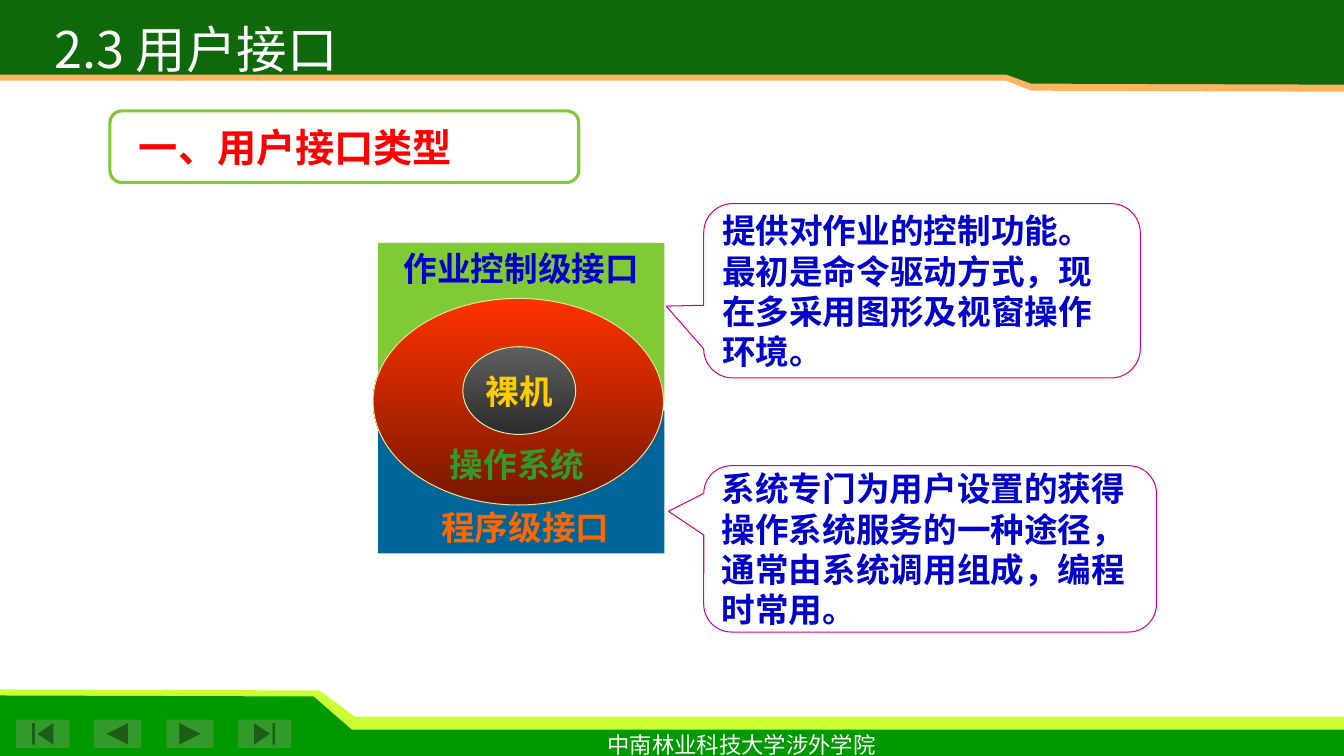
"""Build the slide on the types of user interface of an operating system."""
from pptx import Presentation
from pptx.dml.color import RGBColor as Color
from pptx.enum.shapes import MSO_SHAPE as Shape
from pptx.enum.text import MSO_ANCHOR as Anchor, MSO_AUTO_SIZE as AutoSize, PP_ALIGN as Align
from pptx.oxml.ns import qn
from pptx.util import Inches, Pt
from lxml.etree import SubElement

WIDTH, HEIGHT = 13.33, 7.5
WHITE, RED, BLUE = Color(255, 255, 255), Color(255, 0, 0), Color(0, 0, 0xCC)
LIME, GREEN, DARK_GREEN = Color(0xCC, 0xFF, 0x33), Color(0, 0x99, 0), Color(0x0F, 0x69, 0x0B)
PEACH, BUTTON_GREEN = Color(0xFB, 0xB5, 0x61), Color(0x32, 0x9A, 0x2A)
LEAF, TEAL = Color(0x80, 0xCB, 0x35), Color(0, 0x66, 0x99)
ORANGE, GOLD = Color(0xFF, 0x66, 0), Color(0xFF, 0xCC, 0)
CREAM, MAGENTA = Color(0xDD, 0xE8, 0x9A), Color(0xD6, 0, 0x93)
RED_FADE = (Color(0xFF, 0x33, 0), Color(0x76, 0x18, 0))
GREY_FADE = (Color(0x5F, 0x5F, 0x5F), Color(0x2C, 0x2C, 0x2C))
SERIF, SANS, CHINESE = "Times New Roman", "Arial", "Noto Sans CJK SC"

TITLE = "2.3 用户接口"
HEADING = "一、用户接口类型"
SCHOOL = "中南林业科技大学涉外学院"
JOB_LEVEL, PROGRAM_LEVEL = "作业控制级接口", "程序级接口"
SYSTEM, MACHINE = "操作系统", "裸机"
CALLOUTS = [
    ("提供对作业的控制功能。最初是命令驱动方式，现在多采用图形及视窗操作环境。",
     (6.98, 2.02, 4.33, 1.73), (-0.586, 0.088, 0.167)),
    ("系统专门为用户设置的获得操作系统服务的一种途径，通常由系统调用组成，编程时常用。",
     (6.98, 4.62, 4.49, 1.65), (-0.578, -0.226, 0.167)),
]
BUTTONS = [
    (Shape.ACTION_BUTTON_BEGINNING, 0.16, 0.53),
    (Shape.ACTION_BUTTON_BACK_OR_PREVIOUS, 0.93, 0.47),
    (Shape.ACTION_BUTTON_FORWARD_OR_NEXT, 1.65, 0.47),
    (Shape.ACTION_BUTTON_END, 2.36, 0.53),
]
HEADER_BANDS = [(PEACH, 0.8, 0.9), (DARK_GREEN, 0.74, 0.83)]
FOOTER_BANDS = [(LIME, 6.84, 3.17, 3.52, 7.11), (GREEN, 6.9, 3.11, 3.49, 7.24)]


def add_band(slide, color, points):
    corners = [(Inches(x), Inches(y)) for x, y in points]
    builder = slide.shapes.build_freeform(*corners[0])
    builder.add_line_segments(corners[1:])
    band = builder.convert_to_shape()
    band.shadow.inherit = False
    band.fill.solid()
    band.fill.fore_color.rgb = color
    band.line.fill.background()


def add_shape(slide, kind, place, fill=None, line=None, weight=0.75, adjust=()):
    shape = slide.shapes.add_shape(kind, *map(Inches, place))
    shape.shadow.inherit = False
    for index, value in enumerate(adjust):
        shape.adjustments[index] = value
    if fill is None:
        shape.fill.background()
    elif isinstance(fill[0], Color):
        shape.fill.gradient()
        shape.fill.gradient_angle = 270
        for stop, position, color in zip(shape.fill.gradient_stops, (0, 1), fill):
            stop.position = position
            stop.color.rgb = color
    else:
        shape.fill.solid()
        shape.fill.fore_color.rgb = fill
    if line is None:
        shape.line.fill.background()
    else:
        shape.line.color.rgb = line
        shape.line.width = Pt(weight)
    return shape


def write(box, text, color, size=24, font=SERIF, bold=True,
          align=Align.CENTER, anchor=Anchor.TOP, wrap=True):
    frame = box.text_frame
    frame.text = text
    frame.auto_size = AutoSize.NONE
    frame.word_wrap = wrap
    frame.vertical_anchor = anchor
    para = frame.paragraphs[0]
    para.alignment = align
    para.line_spacing = Pt(1.2 * size)
    span = para.runs[0]
    span.font.name = font
    span.font.size = Pt(size)
    span.font.bold = bold
    span.font.color.rgb = color
    SubElement(span.font._element, qn("a:ea"), typeface=CHINESE)


def add_text(slide, place, text, color, **style):
    write(slide.shapes.add_textbox(*map(Inches, place)), text, color, **style)


def draw_template(slide):
    for color, top, left_knee, right_knee, step in FOOTER_BANDS:
        add_band(slide, color, [(0, HEIGHT), (WIDTH, HEIGHT), (WIDTH, step),
                                (right_knee, step), (left_knee, top + 0.01), (0, top)])
    for kind, left, width in BUTTONS:
        add_shape(slide, kind, (left, 7.14, width, 0.28), BUTTON_GREEN)
    for color, left_edge, right_edge in HEADER_BANDS:
        add_band(slide, color, [(WIDTH, 0), (0, 0), (0, left_edge), (9.98, left_edge),
                                (10.23, right_edge), (WIDTH, right_edge + 0.01)])
    add_text(slide, (5.91, 7.2, 2.89, 0.37), SCHOOL, WHITE, size=16, bold=False, wrap=False)


def draw_layers(slide):
    add_shape(slide, Shape.RECTANGLE, (3.75, 4.07, 2.84, 1.42), TEAL)
    write(add_shape(slide, Shape.RECTANGLE, (4.07, 4.98, 2.28, 0.5), TEAL),
          PROGRAM_LEVEL, ORANGE)
    add_shape(slide, Shape.RECTANGLE, (3.75, 2.41, 2.84, 1.57), LEAF)
    write(add_shape(slide, Shape.RECTANGLE, (3.83, 2.41, 2.68, 0.5), LEAF),
          JOB_LEVEL, BLUE)
    add_shape(slide, Shape.OVAL, (3.7, 2.96, 2.88, 2.05), RED_FADE, CREAM)
    add_text(slide, (4.36, 4.35, 1.54, 0.5), SYSTEM, BUTTON_GREEN, wrap=False)
    write(add_shape(slide, Shape.OVAL, (4.59, 3.44, 1.12, 0.87), GREY_FADE, CREAM),
          MACHINE, GOLD, anchor=Anchor.MIDDLE, wrap=False)


def main():
    deck = Presentation()
    deck.slide_width, deck.slide_height = Inches(WIDTH), Inches(HEIGHT)
    slide = deck.slides.add_slide(deck.slide_layouts[5])
    draw_template(slide)
    add_shape(slide, Shape.ROUNDED_RECTANGLE, (1.09, 1.1, 4.65, 0.71),
              WHITE, LEAF, 2.25, (0.167,))
    draw_layers(slide)
    for text, place, adjust in CALLOUTS:
        callout = add_shape(slide, Shape.ROUNDED_RECTANGULAR_CALLOUT, place,
                            line=MAGENTA, adjust=adjust)
        write(callout, text, BLUE, align=Align.LEFT, anchor=Anchor.MIDDLE)
    add_text(slide, (1.28, 1.17, 4.46, 0.57), HEADING, RED, size=28, font=SANS,
             align=Align.LEFT)
    title = slide.shapes.title
    title.left, title.top, title.width, title.height = map(Inches, (0.25, 0.13, 3.39, 0.6))
    write(title, TITLE, WHITE, size=36, font=CHINESE, bold=False)
    title._element.getparent().append(title._element)
    deck.save("out.pptx")


if __name__ == "__main__":
    main()
